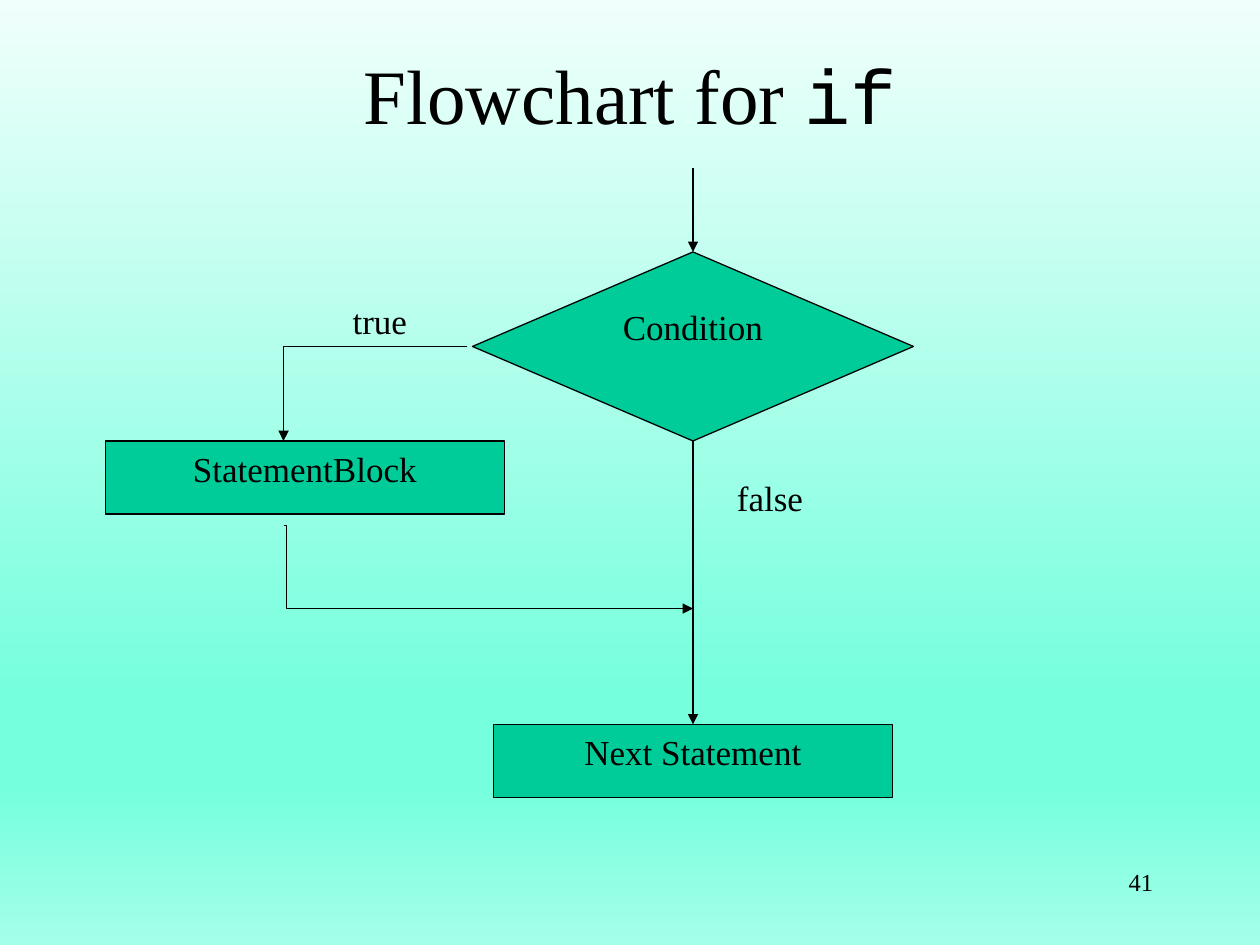
from copy import deepcopy
from pptx import Presentation
from pptx.dml.color import RGBColor
from pptx.enum import shapes, text
from pptx.oxml import ns
from pptx.util import Inches, Pt
from lxml import etree

BLACK = RGBColor(0x00, 0x00, 0x00)
GREEN = RGBColor(0x00, 0xCC, 0x99)
PALE = RGBColor(0xF0, 0xFF, 0xFB)
MINT = RGBColor(0x75, 0xFF, 0xDD)
LIGHT = RGBColor(0xA3, 0xFF, 0xE8)
SERIF = "Times New Roman"
MONO = "Courier New"
KIND = shapes.MSO_SHAPE
LINK = shapes.MSO_CONNECTOR
ALIGN = text.PP_ALIGN
MID = 5.5


def paint(slide):
    stops = [(0, PALE), (0.74, MINT), (0.83, MINT), (1, LIGHT)]
    fill = slide.background.fill
    fill.gradient()
    fill.gradient_angle = 270
    group = slide.element.xpath(".//a:gsLst")[0]
    while len(group) < len(stops):
        group.append(deepcopy(group[0]))
    for stop, (place, color) in zip(fill.gradient_stops, stops):
        stop.position = place
        stop.color.rgb = color


def write(frame, words, size=20, align=ALIGN.LEFT):
    frame.vertical_anchor = text.MSO_ANCHOR.TOP
    para = frame.paragraphs[0]
    para.text = words
    para.alignment = align
    style(para.font, size)


def style(font, size, name=SERIF):
    font.size = Pt(size)
    font.name = name
    font.color.rgb = BLACK


def head(slide):
    title = slide.shapes.title
    title.left, title.top = Inches(0.75), Inches(0.33)
    title.width, title.height = Inches(8.5), Inches(0.83)
    frame = title.text_frame
    frame.vertical_anchor = text.MSO_ANCHOR.MIDDLE
    para = frame.paragraphs[0]
    para.alignment = ALIGN.CENTER
    for words, name in [("Flowchart for ", SERIF), ("if", MONO)]:
        run = para.add_run()
        run.text = words
        style(run.font, 44, name)


def node(slide, kind, words, mid, top, width, height):
    shape = slide.shapes.add_shape(
        kind, Inches(mid - width / 2), Inches(top), Inches(width), Inches(height))
    shape.shadow.inherit = False
    shape.fill.solid()
    shape.fill.fore_color.rgb = GREEN
    shape.line.color.rgb = BLACK
    shape.line.width = Pt(0.75)
    write(shape.text_frame, words, align=ALIGN.CENTER)


def arrow(slide, start, end, bend=None):
    kind = LINK.STRAIGHT if bend is None else LINK.ELBOW
    link = slide.shapes.add_connector(kind, *map(Inches, start + end))
    link.line.color.rgb = BLACK
    link.line.width = Pt(0.75)
    props = link.element.spPr
    tip = etree.SubElement(props.find(ns.qn("a:ln")), ns.qn("a:tailEnd"))
    tip.set("type", "triangle")
    etree.SubElement(props, ns.qn("a:effectLst"))
    if bend is not None:
        guide = etree.SubElement(props.xpath(".//a:avLst")[0], ns.qn("a:gd"))
        guide.set("name", "adj1")
        guide.set("fmla", f"val {round(bend * 100000)}")


def label(slide, words, left, top, width, height=0.44, wrap=False, **look):
    box = slide.shapes.add_textbox(*map(Inches, (left, top, width, height)))
    box.text_frame.word_wrap = wrap
    write(box.text_frame, words, **look)


def main():
    deck = Presentation()
    deck.slide_width, deck.slide_height = Inches(10), Inches(7.5)
    slide = deck.slides.add_slide(deck.slide_layouts[5])
    paint(slide)
    head(slide)
    label(slide, "41", 7.17, 6.83, 2.08, 0.5, wrap=True, size=14, align=ALIGN.RIGHT)

    arrow(slide, (MID, 1.33), (MID, 2))
    node(slide, KIND.FLOWCHART_DECISION, "Condition", MID, 2, 3.5, 1.5)
    arrow(slide, (3.71, 2.75), (2.25, 3.5), bend=0.999)
    node(slide, KIND.RECTANGLE, "StatementBlock", 2.42, 3.5, 3.17, 0.58)
    arrow(slide, (MID, 3.5), (MID, 5.75))
    arrow(slide, (2.25, 4.17), (MID, 4.83), bend=0.008)
    label(slide, "true", 2.7, 2.33, 0.64)
    label(slide, "false", 5.75, 3.73, 0.73)
    node(slide, KIND.RECTANGLE, "Next Statement", MID, 5.75, 3.17, 0.58)
    deck.save("out.pptx")


if __name__ == "__main__":
    main()
